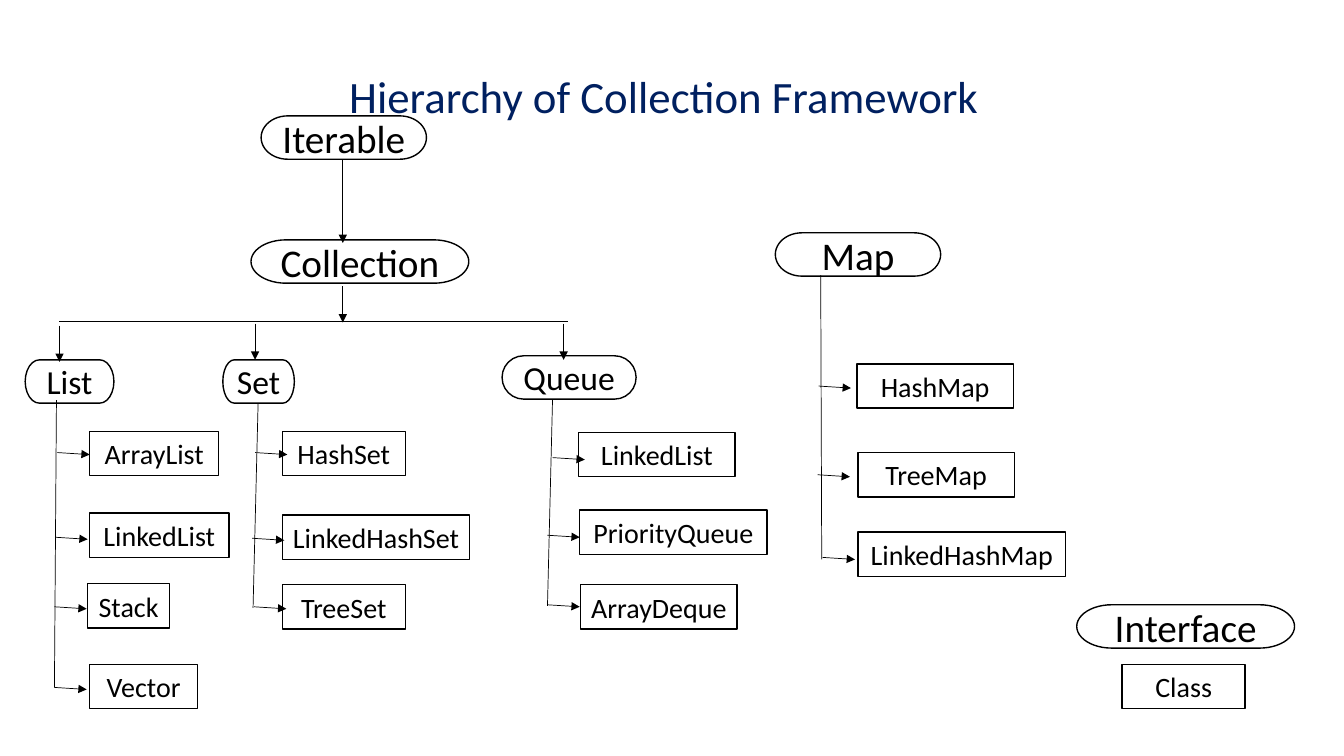
from pptx import Presentation
from pptx.dml.color import RGBColor
from pptx.enum.shapes import MSO_CONNECTOR as CONN, MSO_SHAPE as SHAPE
from pptx.enum.text import MSO_ANCHOR as ANCHOR, PP_ALIGN as ALIGN
from pptx.oxml.ns import qn
from pptx.util import Pt
from lxml import etree

PX = 9144
BLACK = RGBColor(0, 0, 0)
WHITE = RGBColor(255, 255, 255)
NAVY = RGBColor(0x00, 0x20, 0x60)


def add_label(s, shape, x, y, w, h, text, size):
    sp = s.shapes.add_shape(shape, x * PX, y * PX, w * PX, h * PX)
    sp.shadow.inherit = False
    sp.fill.solid()
    sp.fill.fore_color.rgb = WHITE
    sp.line.color.rgb = BLACK
    sp.line.width = Pt(1)
    tf = sp.text_frame
    tf.text = text
    tf.word_wrap = True
    tf.vertical_anchor = ANCHOR.MIDDLE
    tf.margin_left = tf.margin_right = 0
    p = tf.paragraphs[0]
    p.alignment = ALIGN.CENTER
    r = p.runs[0]
    r.font.name = "Calibri"
    r.font.size = Pt(size)
    r.font.color.rgb = BLACK


def add_line(s, x1, y1, x2, y2, arrow=False):
    cn = s.shapes.add_connector(CONN.STRAIGHT, x1 * PX, y1 * PX, x2 * PX, y2 * PX)
    cn.line.color.rgb = BLACK
    cn.line.width = Pt(0.5)
    if arrow:
        etree.SubElement(cn.line._get_or_add_ln(), qn("a:tailEnd"), type="triangle")
    etree.SubElement(cn._element.spPr, qn("a:effectLst"))


prs = Presentation()
prs.slide_width = 1333 * PX
prs.slide_height = 750 * PX
s = prs.slides.add_slide(prs.slide_layouts[6])

title = s.shapes.add_textbox(0, 68 * PX, 1317 * PX, 54 * PX)
tf = title.text_frame
tf.text = "Hierarchy of Collection Framework"
tf.word_wrap = True
tf.margin_top = tf.margin_bottom = 0
p = tf.paragraphs[0]
p.alignment = ALIGN.CENTER
r = p.runs[0]
r.font.name = "Calibri"
r.font.size = Pt(32)
r.font.color.rgb = NAVY

interfaces = [
    ("Iterable", 259, 115, 164, 28),
    ("Collection", 249, 238, 216, 28),
    ("Map", 769, 231, 164, 28),
    ("List", 25, 357, 88, 24),
    ("Set", 221, 357, 71, 24),
    ("Queue", 498, 353, 133, 24),
    ("Interface", 1068, 600, 216, 28),
]
for name, x, y, w, size in interfaces:
    add_label(s, SHAPE.FLOWCHART_TERMINATOR, x, y, w, 43, name, size)

classes = [
    ("ArrayList", 89, 428, 128),
    ("LinkedList", 89, 509, 138),
    ("Stack", 87, 579, 81),
    ("Vector", 89, 659, 107),
    ("HashSet", 280, 428, 122),
    ("LinkedHashSet", 280, 511, 186),
    ("TreeSet", 280, 580, 122),
    ("LinkedList", 574, 429, 155),
    ("PriorityQueue", 575, 506, 186),
    ("ArrayDeque", 576, 580, 155),
    ("HashMap", 850, 361, 155),
    ("TreeMap", 851, 449, 155),
    ("LinkedHashMap", 851, 528, 206),
    ("Class", 1113, 659, 122),
]
for name, x, y, w in classes:
    add_label(s, SHAPE.RECTANGLE, x, y, w, 44, name, 20)

stems = [
    (59, 319, 563, 319),
    (56, 397, 54, 682),
    (256, 400, 251, 603),
    (548, 397, 543, 601),
    (814, 273, 815, 555),
]
for stem in stems:
    add_line(s, *stem)

down_arrows = [(340, 158, 241), (340, 284, 320), (59, 323, 359), (253, 321, 357), (559, 321, 357)]
for x, top, bottom in down_arrows:
    add_line(s, x, top, x, bottom, arrow=True)

branches = [
    (57, 449), (55, 533), (54, 602), (54, 682),
    (253, 449), (250, 534), (252, 602),
    (548, 454), (543, 531), (543, 600),
    (812, 383), (811, 471), (816, 553),
]
for x, y in branches:
    add_line(s, x, y, x + 32, y + 2, arrow=True)

prs.save("out.pptx")
